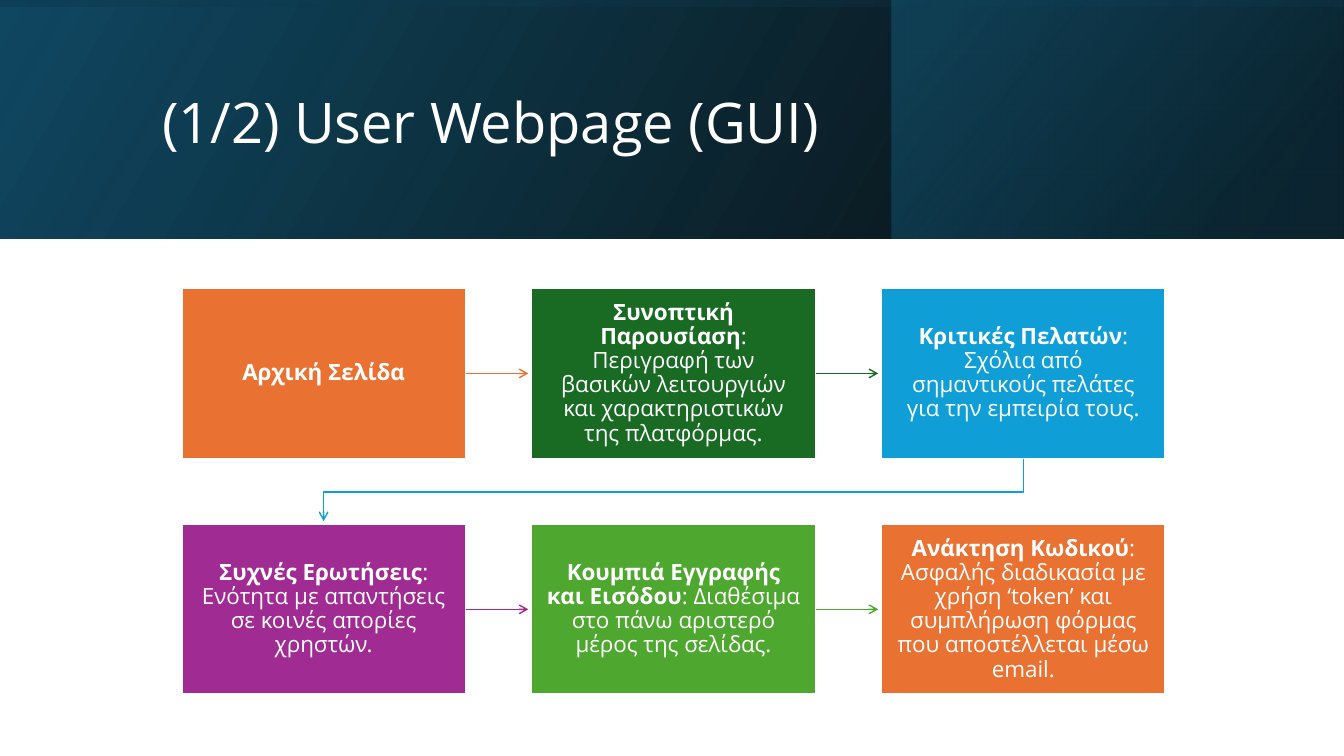
from lxml import etree
from pptx import Presentation
from pptx import util as u
from pptx.dml.color import RGBColor
from pptx.enum import shapes, text
from pptx.oxml.ns import qn

HUES = {"white": "FFFFFF", "black": "000000", "navy": "0B3041", "deep": "104862",
        "teal": "156082", "orange": "E97132", "forest": "196B24",
        "blue": "0F9ED5", "purple": "A02B93", "green": "4EA72E"}
FONT = "Open Sans"
TITLE = "(1/2) User Webpage (GUI)"

# Header layers: place, turn, angle, stops of (percent, hue, opacity)
BANDS = [
    ((0, 0, 1333, 237), 0, 330, [(0, "black", 96), (100, "deep", 100)]),
    ((884, 0, 448, 237), 0, 320, [(19, "navy", 68), (100, "teal", 48)]),
    ((548, -548, 237, 1333), 270, 350, [(23, "deep", 16), (99, "black", 45)]),
]

# Steps in reading order: hue, bold lead, rest
STEPS = [
    ("orange", "Αρχική Σελίδα", ""),
    ("forest", "Συνοπτική Παρουσίαση",
     ": Περιγραφή των βασικών λειτουργιών και χαρακτηριστικών της πλατφόρμας."),
    ("blue", "Κριτικές Πελατών",
     ": Σχόλια από σημαντικούς πελάτες για την εμπειρία τους."),
    ("purple", "Συχνές Ερωτήσεις",
     ": Ενότητα με απαντήσεις σε κοινές απορίες χρηστών."),
    ("green", "Κουμπιά Εγγραφής και Εισόδου",
     ": Διαθέσιμα στο πάνω αριστερό μέρος της σελίδας."),
    ("orange", "Ανάκτηση Κωδικού",
     ": Ασφαλής διαδικασία με χρήση ‘token’ και συμπλήρωση φόρμας "
     "που αποστέλλεται μέσω email."),
]
COLS, LEFT, TOP, WIDE, HIGH = 3, 180, 286, 282, 169
STEP_X, STEP_Y, GAP = 347, 234, 3


def px(n):
    return u.Emu(n * 9144)


def rgb(hue):
    return RGBColor.from_string(HUES[hue])


def style(para, size):
    para.line_spacing = 0.9
    para.font.name = FONT
    para.font.size = u.Pt(size)
    para.font.color.rgb = rgb("white")


def arrow(shape, hue):
    shape.line.color.rgb = rgb(hue)
    shape.line.width = u.Pt(1)
    etree.SubElement(shape.line._get_or_add_ln(), qn("a:tailEnd"), type="arrow")


def add_band(place, turn, angle, stops):
    band = deck.add_shape(shapes.MSO_SHAPE.RECTANGLE, *map(px, place))
    band.shadow.inherit = False
    band.line.fill.background()
    band.rotation = turn
    band._element.spPr.xfrm.set("flipH", "1")
    band.fill.gradient()
    band.fill.gradient_angle = 360 - angle
    for stop, (pos, hue, _) in zip(band.fill.gradient_stops, stops):
        stop.position = pos / 100
        stop.color.rgb = rgb(hue)
    for clr, (_, _, alpha) in zip(band._element.spPr.iter(qn("a:srgbClr")), stops):
        etree.SubElement(clr, qn("a:alpha"), val=str(alpha * 1000))


def add_box(x, y, hue, lead, rest):
    box = deck.add_shape(shapes.MSO_SHAPE.RECTANGLE, px(x), px(y), px(WIDE), px(HIGH))
    box.shadow.inherit = False
    box.fill.solid()
    box.fill.fore_color.rgb = rgb(hue)
    box.line.color.rgb = rgb("white")
    box.line.width = u.Pt(1.5)
    frame = box.text_frame
    frame.word_wrap = True
    frame.vertical_anchor = text.MSO_ANCHOR.MIDDLE
    frame.margin_left = frame.margin_right = px(14)
    frame.margin_top = frame.margin_bottom = px(15)
    para = frame.paragraphs[0]
    para.alignment = text.PP_ALIGN.CENTER
    style(para, 16)
    for words, bold in ((lead, True), (rest, False)):
        if words:
            run = para.add_run()
            run.text = words
            run.font.bold = bold
    return box


def add_link(box, hue):
    mid = box.top + box.height // 2
    right = box.left + box.width
    link = deck.add_connector(shapes.MSO_CONNECTOR.STRAIGHT, right, mid,
                              right + px(STEP_X - WIDE - GAP), mid)
    link.begin_connect(box, 3)
    etree.SubElement(link._element.spPr, qn("a:effectLst"))
    arrow(link, hue)


def add_turn(hue):
    start = LEFT + (COLS - 1) * STEP_X + WIDE // 2
    end = LEFT + WIDE // 2
    low = TOP + HIGH
    bend = low + 33
    path = deck.build_freeform(start, low, scale=9144)
    path.add_line_segments([(start, bend), (end, bend), (end, TOP + STEP_Y - GAP)],
                           close=False)
    turn = path.convert_to_shape()
    turn.shadow.inherit = False
    turn.fill.background()
    arrow(turn, hue)


prs = Presentation()
prs.slide_width, prs.slide_height = px(1333), px(750)
deck = prs.slides.add_slide(prs.slide_layouts[6]).shapes

# Header
for band in BANDS:
    add_band(*band)
head = deck.add_textbox(px(151), px(38), px(1063), px(172)).text_frame
head.word_wrap = True
head.vertical_anchor = text.MSO_ANCHOR.MIDDLE
head.text = TITLE
style(head.paragraphs[0], 40)

# Flow of steps, each leading to the next
for i, (hue, lead, rest) in enumerate(STEPS):
    row, col = divmod(i, COLS)
    box = add_box(LEFT + col * STEP_X, TOP + row * STEP_Y, hue, lead, rest)
    if col < COLS - 1:
        add_link(box, hue)
    elif i < len(STEPS) - 1:
        add_turn(hue)

prs.save("out.pptx")
